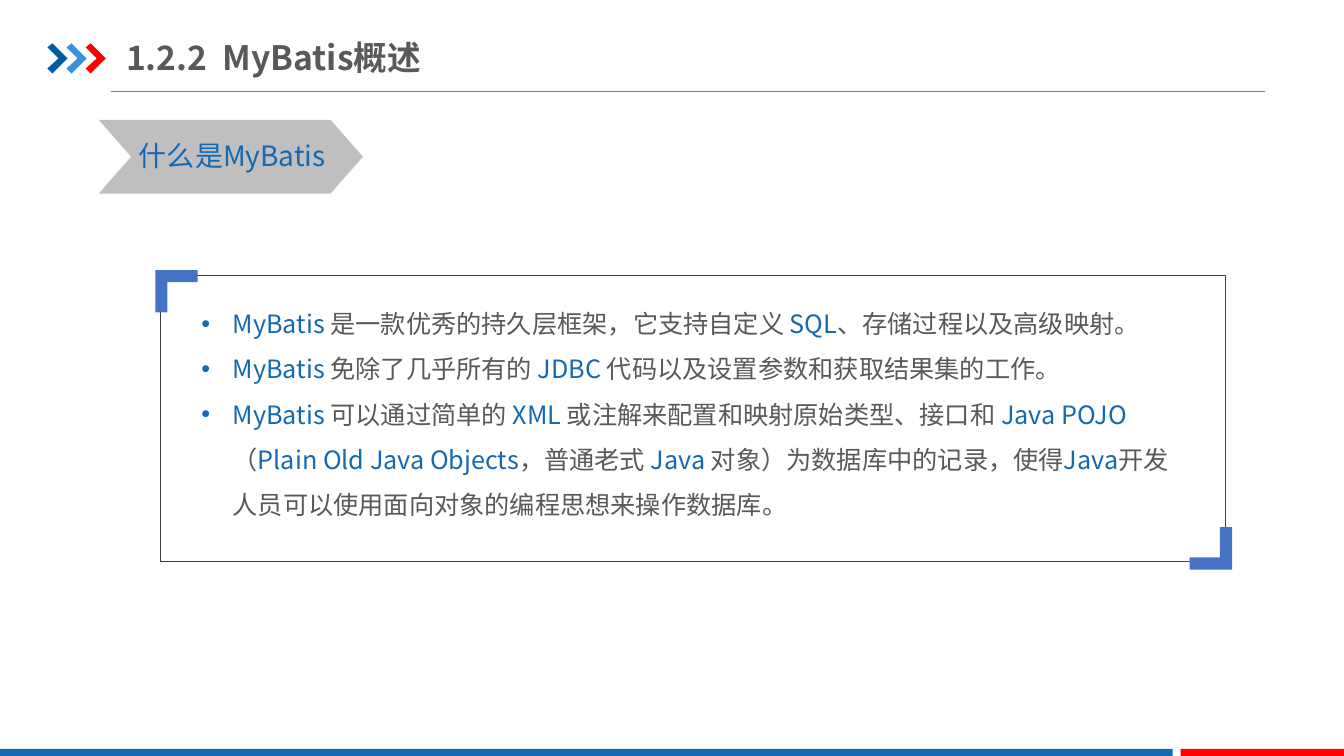
from itertools import cycle

from lxml import etree
from pptx import Presentation
from pptx.dml.color import RGBColor
from pptx.enum.shapes import MSO_CONNECTOR, MSO_SHAPE
from pptx.enum.text import MSO_ANCHOR
from pptx.oxml.ns import qn
from pptx.util import Inches, Pt

STRAIGHT = MSO_CONNECTOR.STRAIGHT
RECT, ROUNDED, CHEVRON = MSO_SHAPE.RECTANGLE, MSO_SHAPE.ROUNDED_RECTANGLE, MSO_SHAPE.CHEVRON
TOP, MIDDLE = MSO_ANCHOR.TOP, MSO_ANCHOR.MIDDLE

FONT = "Noto Sans CJK SC"
BLUE, GREY, RED, CORNER_BLUE = "1369B2", "595959", "FF0000", "4472C4"

HEADING = "1.2.2  MyBatis概述"
TOPIC = "什么是MyBatis"
POINTS = [
    ["MyBatis ", "是一款优秀的持久层框架，它支持自定义 ", "SQL", "、存储过程以及高级映射。"],
    ["MyBatis ", "免除了几乎所有的 ", "JDBC ", "代码以及设置参数和获取结果集的工作。"],
    ["MyBatis ", "可以通过简单的 ", "XML ", "或注解来配置和映射原始类型、接口和 ",
     "Java POJO", "（", "Plain Old Java Objects", "，普通老式 ", "Java ",
     "对象）为数据库中的记录，使得", "Java", "开发人员可以使用面向对象的编程思想来操作数据库。"],
]

ARROW_COLOURS = ["005DA2", "3992DB", RED]
ARROW_LEFT, ARROW_TOP, ARROW_STEP = 0.47, 0.43, 0.19
ARROW_OUTLINE = [(0, 0.04), (0.05, 0), (0.2, 0.15), (0.05, 0.3), (0, 0.25), (0.11, 0.15)]
CORNER_OUTLINE = [(0, 0), (0.42, 0), (0.42, 0.12), (0.12, 0.12), (0.12, 0.42), (0, 0.42)]
CORNERS = [(1.54, 2.68, 1), (12.22, 5.65, -1)]
FOOTER_BARS = [(0, 11.63, BLUE), (11.71, 1.63, RED)]

HEADING_FORMAT = {"margin_left": 0, "margin_right": 0, "margin_top": Inches(0.07),
                  "margin_bottom": Inches(0.07), "vertical_anchor": MIDDLE, "word_wrap": True}
TOPIC_FORMAT = {"vertical_anchor": TOP, "word_wrap": False}
POINTS_FORMAT = {"vertical_anchor": TOP, "word_wrap": True}

deck = Presentation()
deck.slide_width, deck.slide_height = Inches(13.33), Inches(7.5)
slide = deck.slides.add_slide(deck.slide_layouts[6])
shapes = slide.shapes


def rgb(colour):
    return RGBColor.from_string(colour)


def paint(shape, colour):
    shape.shadow.inherit = False
    shape.fill.solid()
    shape.fill.fore_color.rgb = rgb(colour)
    shape.line.fill.background()


def add_preset(preset, box, colour):
    shape = shapes.add_shape(preset, *map(Inches, box))
    paint(shape, colour)
    return shape


def add_outline(left, top, outline, colour, direction=1):
    points = [(Inches(left + direction * x), Inches(top + direction * y)) for x, y in outline]
    builder = shapes.build_freeform(*points[0])
    builder.add_line_segments(points[1:], close=True)
    paint(builder.convert_to_shape(), colour)


def add_text(box, text_format):
    frame = shapes.add_textbox(*map(Inches, box)).text_frame
    for name, value in text_format.items():
        setattr(frame, name, value)
    return frame


def add_run(paragraph, text, size, colour, bold=False):
    run = paragraph.add_run()
    run.text = text
    run.font.color.rgb = rgb(colour)
    for name, value in {"size": Pt(size), "bold": bold, "name": FONT}.items():
        setattr(run.font, name, value)
    etree.SubElement(run.font._element, qn("a:ea"), typeface=FONT)


def add_bullet(paragraph):
    properties = paragraph._p.get_or_add_pPr()
    properties.set("marL", str(Inches(0.31)))
    properties.set("indent", str(-Inches(0.31)))
    etree.SubElement(properties, qn("a:buFont"), typeface="Arial")
    etree.SubElement(properties, qn("a:buChar"), char="•")


rule = shapes.add_connector(STRAIGHT, Inches(1.1), Inches(0.91), Inches(12.55), Inches(0.91))
rule.line.color.rgb = rgb("808080")
rule.line.width = Pt(0.5)
etree.SubElement(rule._element.spPr, qn("a:effectLst"))

for index, colour in enumerate(ARROW_COLOURS):
    add_outline(ARROW_LEFT + index * ARROW_STEP, ARROW_TOP, ARROW_OUTLINE, colour)
for left, width, colour in FOOTER_BARS:
    add_preset(RECT, (left, 7.43, width, 0.09), colour)

topic_tag = add_preset(CHEVRON, (0.98, 1.19, 2.62, 0.73), "BFBFBF")
topic_tag.adjustments[0] = 0.44
topic = add_text((1.28, 1.33, 2.18, 0.44), TOPIC_FORMAT)
add_run(topic.paragraphs[0], TOPIC, 20, BLUE)
heading = add_text((1.25, 0.29, 4.41, 0.55), HEADING_FORMAT)
add_run(heading.paragraphs[0], HEADING, 24, GREY, bold=True)

body = add_text((1.9, 2.86, 9.94, 2.41), POINTS_FORMAT)
for index, point in enumerate(POINTS):
    paragraph = body.add_paragraph() if index else body.paragraphs[0]
    paragraph.line_spacing = 1.5
    add_bullet(paragraph)
    for text, colour in zip(point, cycle([BLUE, GREY])):
        add_run(paragraph, text, 18, colour)

frame_box = shapes.add_shape(ROUNDED, *map(Inches, (1.59, 2.73, 10.56, 2.84)))
frame_box.adjustments[0] = 0
frame_box.shadow.inherit = False
frame_box.fill.background()
frame_box.line.color.rgb = rgb("404040")
frame_box.line.width = Pt(0.25)
for left, top, direction in CORNERS:
    add_outline(left, top, CORNER_OUTLINE, CORNER_BLUE, direction)

deck.save("out.pptx")
